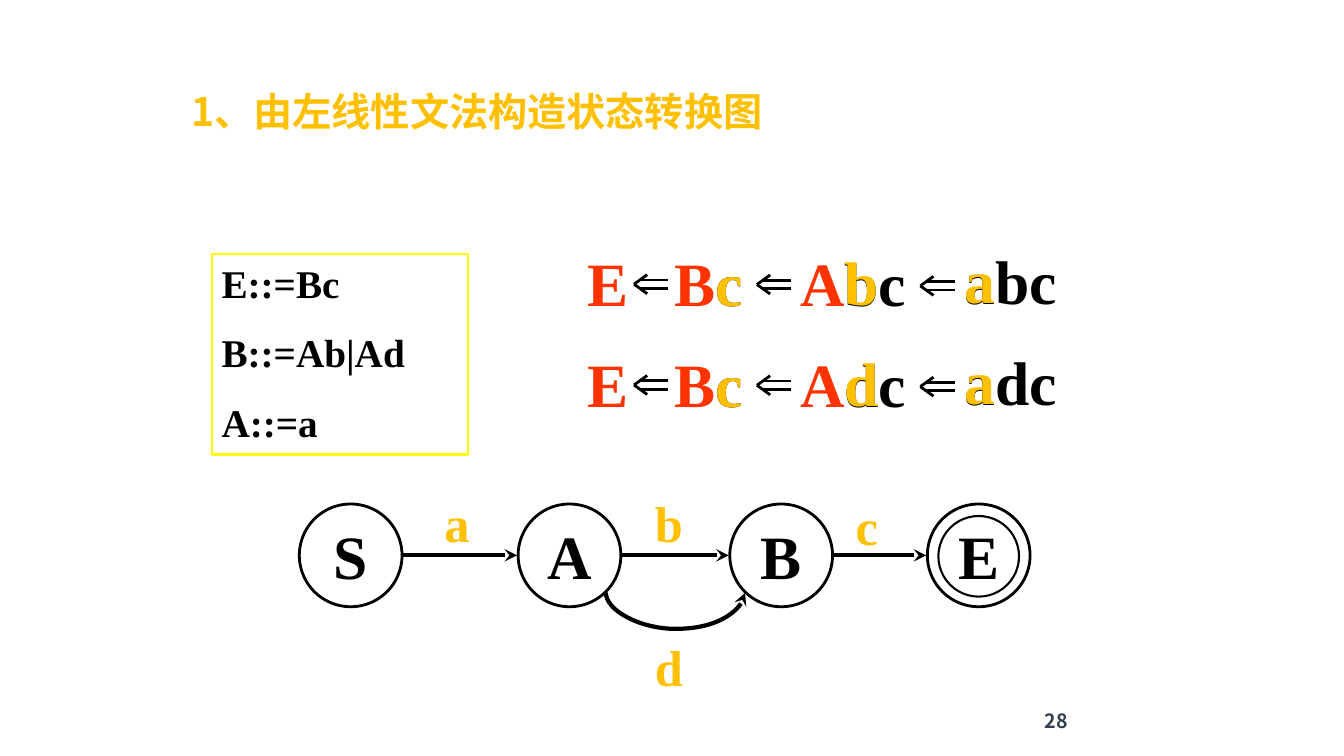
from dataclasses import dataclass

from lxml import etree
from pptx import Presentation
from pptx.dml.color import RGBColor
from pptx.enum.shapes import MSO_CONNECTOR, MSO_SHAPE
from pptx.enum.text import MSO_ANCHOR, PP_ALIGN
from pptx.oxml.ns import qn
from pptx.util import Pt

STRAIGHT, CURVE = MSO_CONNECTOR.STRAIGHT, MSO_CONNECTOR.CURVE
RECT, OVAL = MSO_SHAPE.RECTANGLE, MSO_SHAPE.OVAL
TOP, MIDDLE = MSO_ANCHOR.TOP, MSO_ANCHOR.MIDDLE
LEFT, CENTER, RIGHT = PP_ALIGN.LEFT, PP_ALIGN.CENTER, PP_ALIGN.RIGHT


@dataclass(frozen=True)
class Theme:
    """Colours, fonts and type sizes of the slide."""
    black: str = "000000"
    amber: str = "FFC000"
    red: str = "FF3300"
    yellow: str = "FFFF00"
    slate: str = "333F50"
    serif: str = "Times New Roman"
    sans: str = "Noto Sans CJK SC"
    number: int = 14
    body: int = 28
    label: int = 36
    symbol: int = 44


T = Theme()


def set_attrs(obj, values):
    """Set each attribute in a dict of format values."""
    for name, value in values.items():
        setattr(obj, name, value)


def write(sp, lines, size, font=T.serif, anchor=TOP, align=LEFT, wrap=True, gap=0):
    """Fill a shape with lines, each a list of (text, colour) runs."""
    tf = sp.text_frame
    set_attrs(tf, {"word_wrap": wrap, "vertical_anchor": anchor})
    for i, runs in enumerate(lines):
        p = tf.add_paragraph() if i else tf.paragraphs[0]
        set_attrs(p, {"alignment": align, "space_before": Pt(gap if i else 0)})
        for text, colour in runs:
            r = p.add_run()
            r.text = text
            set_attrs(r.font, {"name": font, "size": Pt(size), "bold": True})
            r.font.color.rgb = RGBColor.from_string(colour)
            etree.SubElement(r.font._element, qn("a:ea"), typeface=font)


def add_text(s, x, y, w, h, runs, size, **layout):
    """Add a one-line text box."""
    sp = s.shapes.add_textbox(Pt(x), Pt(y), Pt(w), Pt(h))
    write(sp, [runs], size, **layout)


def add_outline(s, kind, x, y, w, h, colour, width):
    """Add an unfilled preset shape."""
    sp = s.shapes.add_shape(kind, Pt(x), Pt(y), Pt(w), Pt(h))
    sp.shadow.inherit = False
    sp.fill.background()
    sp.line.color.rgb = RGBColor.from_string(colour)
    sp.line.width = Pt(width)
    return sp


def add_line(shapes, x1, y1, x2, y2, width, kind=STRAIGHT, arrow=False):
    """Add a black connector, with a stealth head if asked."""
    cn = shapes.add_connector(kind, Pt(x1), Pt(y1), Pt(x2), Pt(y2))
    cn.line.color.rgb = RGBColor.from_string(T.black)
    cn.line.width = Pt(width)
    if arrow:
        etree.SubElement(cn.line._get_or_add_ln(), qn("a:tailEnd"), type="stealth")
    etree.SubElement(cn._element.spPr, qn("a:effectLst"))
    return cn


def add_loop(s, x1, x2, y, drop):
    """Add a curved arrow that hangs below two points of equal height."""
    mid, half, thin = (x1 + x2) / 2, (x2 - x1) / 2, 0.12
    cn = add_line(s.shapes, mid + thin, y - half, mid, y + half, 3, CURVE, True)
    sp_pr = cn._element.spPr
    sp_pr.find(qn("a:xfrm")).set("rot", "16200000")
    guides = sp_pr.find(qn("a:prstGeom")).find(qn("a:avLst"))
    etree.SubElement(guides, qn("a:gd"), name="adj1",
                     fmla=f"val {round(drop / thin * 100000)}")


def add_reduction(s, x, y):
    """Add a double arrow whose tip points left at x, y."""
    g = s.shapes.add_group_shape()
    for side in (-1, 1):
        add_line(g.shapes, x, y, x + 9.4, y + side * 6.8, 2)
        add_line(g.shapes, x + 4.3, y + side * 3, x + 24.5, y + side * 3, 2)


def add_derivation(s, y, middle):
    """Add one row of the derivation around its middle letter."""
    for x, dy, w, runs in (
        (681.8, -1.2, 86.4, [("a" + middle + "c", T.black)]),
        (681.8, -2, 67.7, [("a", T.amber)]),
        (564.5, 0, 124.6, [("A", T.red), (middle + "c", T.black)]),
        (596.2, -0.8, 46.1, [(middle, T.amber)]),
        (474.5, 0, 83.5, [("B", T.red), ("c", T.black)]),
        (504, 0, 35.3, [("c", T.amber)]),
        (412.6, 0, 39.6, [("E", T.red)]),
    ):
        add_text(s, x, y + dy, w, 59.8, runs, T.symbol)
    for x, dy in ((452.9, 31.6), (540.7, 31.8), (657.4, 32.8)):
        add_reduction(s, x, y + dy)


def add_diagram(s):
    """Add the states, the arrows between them and their labels."""
    size, top = 73.4, 360
    axis = top + size / 2
    states = {"S": 213.8, "A": 370.1, "B": 521.3, "E": 662.4}
    for name, x in states.items():
        sp = add_outline(s, OVAL, x, top, size, size, T.black, 2)
        write(sp, [[(name, T.black)]], T.symbol, anchor=MIDDLE, align=CENTER, wrap=False)
    add_outline(s, OVAL, 670.3, 368.6, 57.6, 57.6, T.black, 1.5)
    lefts = list(states.values())
    for start, end in zip(lefts, lefts[1:]):
        add_line(s.shapes, start + size + 0.8, axis, end - 0.8, axis, 3, arrow=True)
    add_loop(s, 432.7, 532.1, 423.4, 27.4)
    for text, x, y in (("a", 310.3, 347.8), ("b", 460.8, 347.8),
                       ("c", 604.1, 349.9), ("d", 460.8, 450.7)):
        add_text(s, x, y, 38.2, 50.4, [(text, T.amber)], T.label)


def main():
    """Build the slide and save it."""
    prs = Presentation()
    set_attrs(prs, {"slide_width": Pt(960), "slide_height": Pt(540)})
    s = prs.slides.add_slide(prs.slide_layouts[6])
    add_text(s, 129.6, 55, 690, 48, [("1、由左线性文法构造状态转换图", T.amber)], T.body,
             font=T.sans, anchor=MIDDLE)
    grammar = add_outline(s, RECT, 151.2, 181.4, 182.9, 143.3, T.yellow, 1.5)
    rules = [[(rule, T.black)] for rule in ("E::=Bc", "B::=Ab|Ad", "A::=a")]
    write(grammar, rules, T.body, gap=16)
    for y, middle in ((171.4, "b"), (243.4, "d")):
        add_derivation(s, y, middle)
    add_diagram(s)
    add_text(s, 675.4, 500.4, 94.3, 28.8, [("28", T.slate)], T.number,
             font=T.sans, anchor=MIDDLE, align=RIGHT)
    prs.save("out.pptx")


if __name__ == "__main__":
    main()
